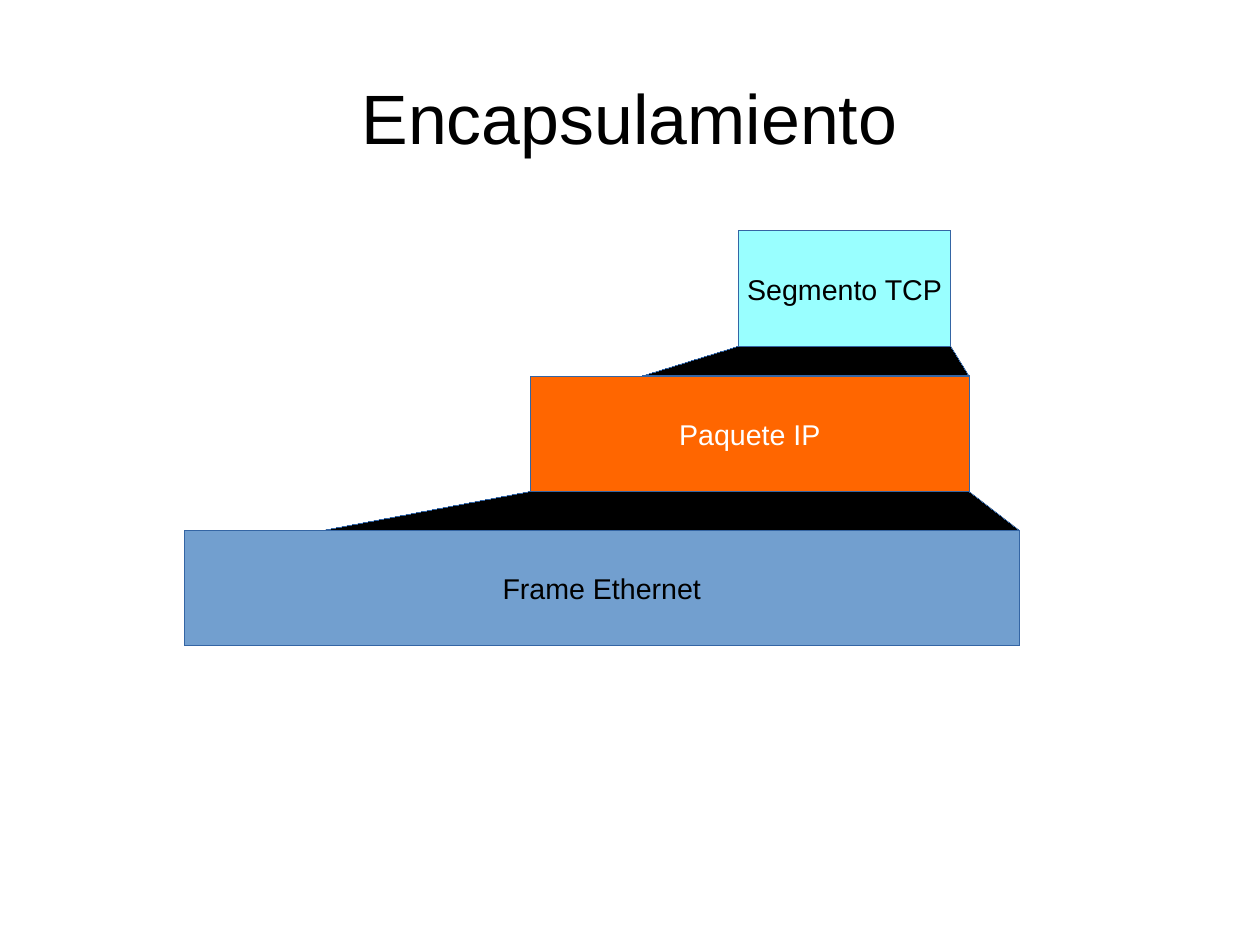
from dataclasses import dataclass
from itertools import pairwise

from pptx import Presentation
from pptx.dml.color import RGBColor
from pptx.enum.shapes import MSO_SHAPE
from pptx.enum.text import MSO_ANCHOR, PP_ALIGN
from pptx.shapes.autoshape import Shape
from pptx.slide import Slide
from pptx.text.text import TextFrame
from pptx.util import Inches, Pt

RECTANGLE = MSO_SHAPE.RECTANGLE
MIDDLE = MSO_ANCHOR.MIDDLE
CENTER = PP_ALIGN.CENTER


@dataclass(frozen=True)
class Theme:
    font: str = "Arial"
    title_size: int = 44
    label_size: int = 18
    black: str = "000000"
    white: str = "FFFFFF"
    outline: str = "3465A4"
    segment: str = "99FFFF"
    packet: str = "FF6600"
    frame: str = "729FCF"


@dataclass(frozen=True)
class Layer:
    label: str
    left: float
    top: float
    width: float
    fill: str
    text_color: str
    payload_left: float = 0

    @property
    def right(self) -> float:
        return self.left + self.width

    @property
    def bottom(self) -> float:
        return self.top + LAYER_HEIGHT


THEME = Theme()
CM_PER_INCH = 2.54
LAYER_HEIGHT = 1.01
LAYERS = [
    Layer("Segmento TCP", 6.46, 2.02, 1.86, THEME.segment, THEME.black),
    Layer("Paquete IP", 4.64, 3.29, 3.84, THEME.packet, THEME.white, 5.62),
    Layer("Frame Ethernet", 1.61, 4.64, 7.31, THEME.frame, THEME.black, 2.83),
]


def write_text(frame: TextFrame, text: str, size: int, color: str) -> None:
    frame.text = text
    frame.vertical_anchor = MIDDLE
    para = frame.paragraphs[0]
    para.alignment = CENTER
    font = para.runs[0].font
    font.name = THEME.font
    font.size = Pt(size)
    font.color.rgb = RGBColor.from_string(color)


def paint(shape: Shape, fill: str) -> None:
    shape.shadow.inherit = False
    shape.fill.solid()
    shape.fill.fore_color.rgb = RGBColor.from_string(fill)
    shape.line.color.rgb = RGBColor.from_string(THEME.outline)
    shape.element.spPr.get_or_add_ln().set("w", "0")


def draw_title(page: Slide, text: str) -> None:
    box = page.shapes.add_textbox(Inches(0.55), Inches(0.33), Inches(9.92), Inches(1.38))
    frame = box.text_frame
    frame.word_wrap = True
    frame.margin_left = frame.margin_right = Inches(0)
    frame.margin_top = frame.margin_bottom = Inches(0)
    write_text(frame, text, THEME.title_size, THEME.black)


def draw_layer(page: Slide, layer: Layer) -> None:
    box = page.shapes.add_shape(
        RECTANGLE, Inches(layer.left), Inches(layer.top), Inches(layer.width), Inches(LAYER_HEIGHT)
    )
    paint(box, layer.fill)
    box.text_frame.word_wrap = False
    write_text(box.text_frame, layer.label, THEME.label_size, layer.text_color)


def draw_funnel(page: Slide, inner: Layer, outer: Layer) -> None:
    corners = [
        (outer.payload_left, outer.top),
        (outer.right, outer.top),
        (inner.right, inner.bottom),
    ]
    builder = page.shapes.build_freeform(Inches(inner.left), Inches(inner.bottom))
    builder.add_line_segments([(Inches(x), Inches(y)) for x, y in corners], close=True)
    paint(builder.convert_to_shape(), THEME.black)


deck = Presentation()
deck.slide_width = Inches(28 / CM_PER_INCH)
deck.slide_height = Inches(21 / CM_PER_INCH)
page = deck.slides.add_slide(deck.slide_layouts[6])

draw_title(page, "Encapsulamiento")
for layer in LAYERS:
    draw_layer(page, layer)
for inner, outer in pairwise(LAYERS):
    draw_funnel(page, inner, outer)

deck.save("out.pptx")
